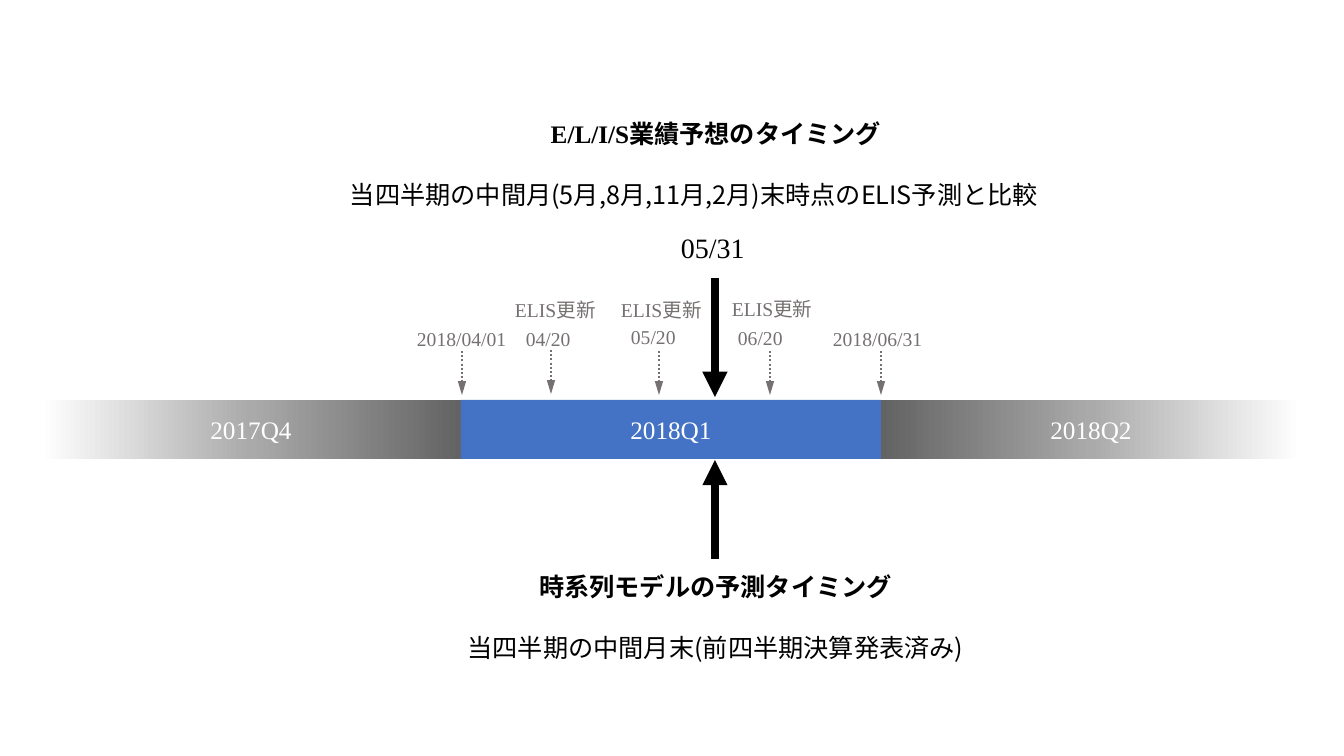
"""Builds a timeline slide comparing forecast timings around 2018Q1."""
from copy import deepcopy

from lxml import etree
from pptx import Presentation
from pptx import util as u
from pptx.dml.color import RGBColor
from pptx.enum import dml, shapes, text
from pptx.oxml.ns import qn

SCALE = 914400 / 100.8
COLOURS = {"black": "000000", "white": "FFFFFF", "blue": "4472C4",
           "label": "767171", "dark": "636363", "middle": "AAAAAA"}
SERIF = "Times New Roman"
SANS = "Noto Sans CJK JP"

QUARTERS = [("2017Q4", ["dark", "middle", "white"]),
            ("2018Q1", ["blue"]),
            ("2018Q2", ["white", "middle", "dark"])]
BAR_LEFT, BAR_TOP, BAR_WIDTH, BAR_HEIGHT = 41, 400, 420, 59

DATES = [("2018/04/01", 407, 322, 162, 462, 351),
         ("04/20", 516, 322, 75, 551, 350),
         ("05/20", 621, 320, 78, 659, 351),
         ("06/20", 728, 321, 78, 770, 351),
         ("2018/06/31", 823, 322, 162, 881, 351)]
UPDATES = [(505, 293), (611, 293), (722, 292)]
ARROW_LENGTH = 44
FORECAST_X = 715


def px(value):
    """Turn pixels into EMU."""
    return u.Emu(round(value * SCALE))


def colour(name):
    """Look up a named colour."""
    return RGBColor.from_string(COLOURS[name])


def add_span(para, words, size, shade, font=SERIF, bold=False):
    """Append one formatted run to a paragraph."""
    span = para.add_run()
    span.text = words
    span.font.size = u.Pt(size)
    span.font.bold = bold
    span.font.name = font
    span.font.color.rgb = colour(shade)
    east_asian = etree.Element(qn("a:ea"), typeface=font)
    span.font._element.find(qn("a:latin")).addnext(east_asian)


def add_box(page, left, top, width, height):
    """Add a wrapping text box and return its text frame."""
    box = page.shapes.add_textbox(px(left), px(top), px(width), px(height))
    frame = box.text_frame
    frame.word_wrap = True
    frame.auto_size = text.MSO_AUTO_SIZE.SHAPE_TO_FIT_TEXT
    return frame


def add_label(page, left, top, width, height, spans, size=14, shade="label"):
    """Add a one-line label made of (words, font) spans."""
    para = add_box(page, left, top, width, height).paragraphs[0]
    for words, font in spans:
        add_span(para, words, size, shade, font)


def add_caption(page, left, top, width, heading, body, body_align):
    """Add a bold centred heading with a spaced body paragraph below it."""
    frame = add_box(page, left, top, width, 102)
    title = frame.paragraphs[0]
    title.alignment = text.PP_ALIGN.CENTER
    for words, font in heading:
        add_span(title, words, 18, "black", font, bold=True)
    para = frame.add_paragraph()
    para.alignment = body_align
    para.space_before = u.Pt(22)
    add_span(para, body, 18, "black", SANS)


def fill_shape(shape, shades):
    """Fill a shape with one colour or a right-to-left gradient."""
    if len(shades) == 1:
        shape.fill.solid()
        shape.fill.fore_color.rgb = colour(shades[0])
        return
    shape.fill.gradient()
    shape.fill.gradient_angle = 180
    stops = next(shape._element.iter(qn("a:gsLst")))
    stops.insert(1, deepcopy(stops[0]))
    for index, (stop, shade) in enumerate(zip(shape.fill.gradient_stops, shades)):
        stop.position = index / 2
        stop.color.rgb = colour(shade)


def add_quarter(page, index, name, shades):
    """Add one quarter of the timeline bar."""
    bar = page.shapes.add_shape(
        shapes.MSO_SHAPE.RECTANGLE, px(BAR_LEFT + index * BAR_WIDTH),
        px(BAR_TOP), px(BAR_WIDTH), px(BAR_HEIGHT))
    bar.shadow.inherit = False
    bar.line.fill.background()
    fill_shape(bar, shades)
    bar.text_frame.vertical_anchor = text.MSO_ANCHOR.MIDDLE
    para = bar.text_frame.paragraphs[0]
    para.alignment = text.PP_ALIGN.CENTER
    add_span(para, name, 18, "white")


def add_arrow(page, x, start, end, shade, width, dash=None, head="med"):
    """Add a vertical arrow pointing from start to end."""
    arrow = page.shapes.add_connector(
        shapes.MSO_CONNECTOR.STRAIGHT, px(x), px(start), px(x), px(end))
    arrow.line.color.rgb = colour(shade)
    arrow.line.width = u.Pt(width)
    if dash:
        arrow.line.dash_style = dash
    properties = arrow._element.spPr
    etree.SubElement(properties.find(qn("a:ln")), qn("a:tailEnd"),
                     type="triangle", len=head)
    etree.SubElement(properties, qn("a:effectLst"))


def main():
    """Build and save the slide."""
    deck = Presentation()
    deck.slide_width, deck.slide_height = px(1344), px(756)
    page = deck.slides.add_slide(deck.slide_layouts[6])

    for index, (name, shades) in enumerate(QUARTERS):
        add_quarter(page, index, name, shades)
    for date, left, top, width, x, start in DATES:
        add_label(page, left, top, width, 57, [(date, SERIF)])
        add_arrow(page, x, start, start + ARROW_LENGTH, "label", 1.5,
                  dml.MSO_LINE.ROUND_DOT, "lg")
    for left, top in UPDATES:
        add_label(page, left, top, 111, 34, [("ELIS", SERIF), ("更新", SANS)])

    add_caption(page, 451, 566, 529, [("時系列モデルの予測タイミング", SANS)],
                "当四半期の中間月末(前四半期決算発表済み)", text.PP_ALIGN.CENTER)
    add_arrow(page, FORECAST_X, 278, 397, "black", 6)
    add_arrow(page, FORECAST_X, 559, 460, "black", 6)
    add_label(page, 671, 226, 88, 44, [("05/31", SERIF)], 20, "black")
    add_caption(page, 340, 113, 752,
                [("E/L/I/S", SERIF), ("業績予想のタイミング", SANS)],
                "当四半期の中間月(5月,8月,11月,2月)末時点のELIS予測と比較",
                text.PP_ALIGN.LEFT)
    deck.save("out.pptx")


if __name__ == "__main__":
    main()
